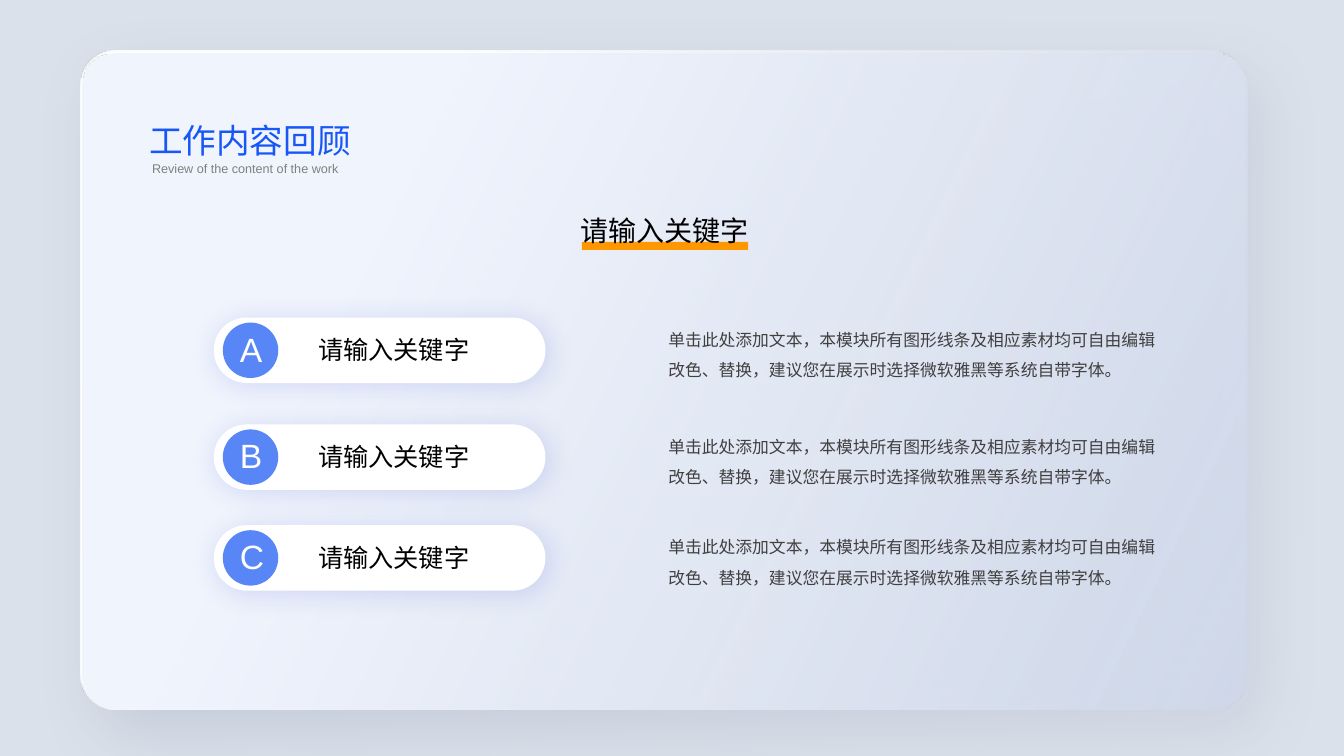
"""Build the work review slide: a soft panel with three lettered keywords and their descriptions."""
from lxml.etree import SubElement
from pptx import Presentation
from pptx.dml.color import RGBColor
from pptx.enum.shapes import MSO_SHAPE as Shape
from pptx.enum.text import MSO_AUTO_SIZE as AutoSize, PP_ALIGN as Align
from pptx.oxml.ns import qn
from pptx.util import Inches, Pt

KEYWORD = "请输入关键字"
DESCRIPTION = (
    "单击此处添加文本，本模块所有图形线条及相应素材均可自由编辑"
    "改色、替换，建议您在展示时选择微软雅黑等系统自带字体。"
)
ROWS = [("A", 3.15), ("B", 4.21), ("C", 5.21)]
PANELS = [
    ((0.8, 0.5, 11.55, 6.54), 0.055, "FFFFFF", 68, ("324274", 13, 45, 21, 53)),
    ((0.82, 0.53, 11.55, 6.51), 0.051, "F0F4FD", 78, None),
]

prs = Presentation()
prs.slide_width, prs.slide_height = Inches(13.33), Inches(7.5)
slide = prs.slides.add_slide(prs.slide_layouts[6])


def add_block(kind, box, color, radius=None, shadow=None):
    block = slide.shapes.add_shape(kind, *map(Inches, box))
    block.shadow.inherit = False
    block.fill.solid()
    block.fill.fore_color.rgb = RGBColor.from_string(color)
    block.line.fill.background()
    if radius is not None:
        block.adjustments[0] = radius
    if shadow:
        tint, opacity, blur, distance, angle = shadow
        effects = block._element.spPr.find(qn("a:effectLst"))
        outer = SubElement(
            effects, qn("a:outerShdw"), blurRad=str(Pt(blur)), dist=str(Pt(distance)),
            dir=str(angle * 60000), algn="ctr", rotWithShape="0")
        shade = SubElement(outer, qn("a:srgbClr"), val=tint)
        SubElement(shade, qn("a:alpha"), val=str(opacity * 1000))
    return block


def add_text(text, box, size, color, wrap=True, **layout):
    frame = slide.shapes.add_textbox(*map(Inches, box)).text_frame
    frame.word_wrap = wrap
    frame.auto_size = AutoSize.SHAPE_TO_FIT_TEXT
    paragraph = frame.paragraphs[0]
    for name, value in layout.items():
        setattr(paragraph, name, value)
    run = paragraph.add_run()
    run.text = text
    for name, value in {"name": "Arial", "size": Pt(size)}.items():
        setattr(run.font, name, value)
    run.font.color.rgb = RGBColor.from_string(color)


add_block(Shape.RECTANGLE, (0, -0.03, 13.34, 7.55), "DBE1EA")

for box, radius, start, end_opacity, shadow in PANELS:
    panel = add_block(Shape.ROUNDED_RECTANGLE, box, start, radius, shadow)
    panel.fill.gradient()
    panel.fill.gradient_angle = 360 - 26
    for stop, position, color in zip(panel.fill.gradient_stops, (0.25, 0.99), (start, "CFD8E9")):
        stop.position = position
        stop.color.rgb = RGBColor.from_string(color)
    end_color = panel._element.spPr.findall(".//" + qn("a:gs"))[-1].find(qn("a:srgbClr"))
    SubElement(end_color, qn("a:alpha"), val=str(end_opacity * 1000))

for letter, top in ROWS:
    add_text(DESCRIPTION, (6.53, top - 0.03, 5.06, 0.67), 12, "404040", line_spacing=1.5)
    add_block(Shape.ROUNDED_RECTANGLE, (2.12, top, 3.29, 0.65), "FFFFFF", 0.5,
              ("1D32CC", 15, 20, 3, 45))
    add_text(KEYWORD, (2.87, top + 0.12, 2.07, 0.4), 18, "000000", alignment=Align.CENTER)
    add_block(Shape.OVAL, (2.21, top + 0.05, 0.55, 0.55), "5986F7")
    add_text(letter, (2.28, top + 0.06, 0.44, 0.5), 24, "FFFFFF", wrap=False)

add_block(Shape.RECTANGLE, (5.77, 2.4, 1.65, 0.08), "FF9800")
add_text(KEYWORD, (5.56, 2.07, 2.07, 0.44), 20, "000000", alignment=Align.CENTER)
add_text("Review of the content of the work", (1.41, 1.55, 2.07, 0.25), 9, "808080", wrap=False)
add_text("工作内容回顾", (1.38, 1.14, 2.37, 0.5), 24, "1857F6")

prs.save("out.pptx")
